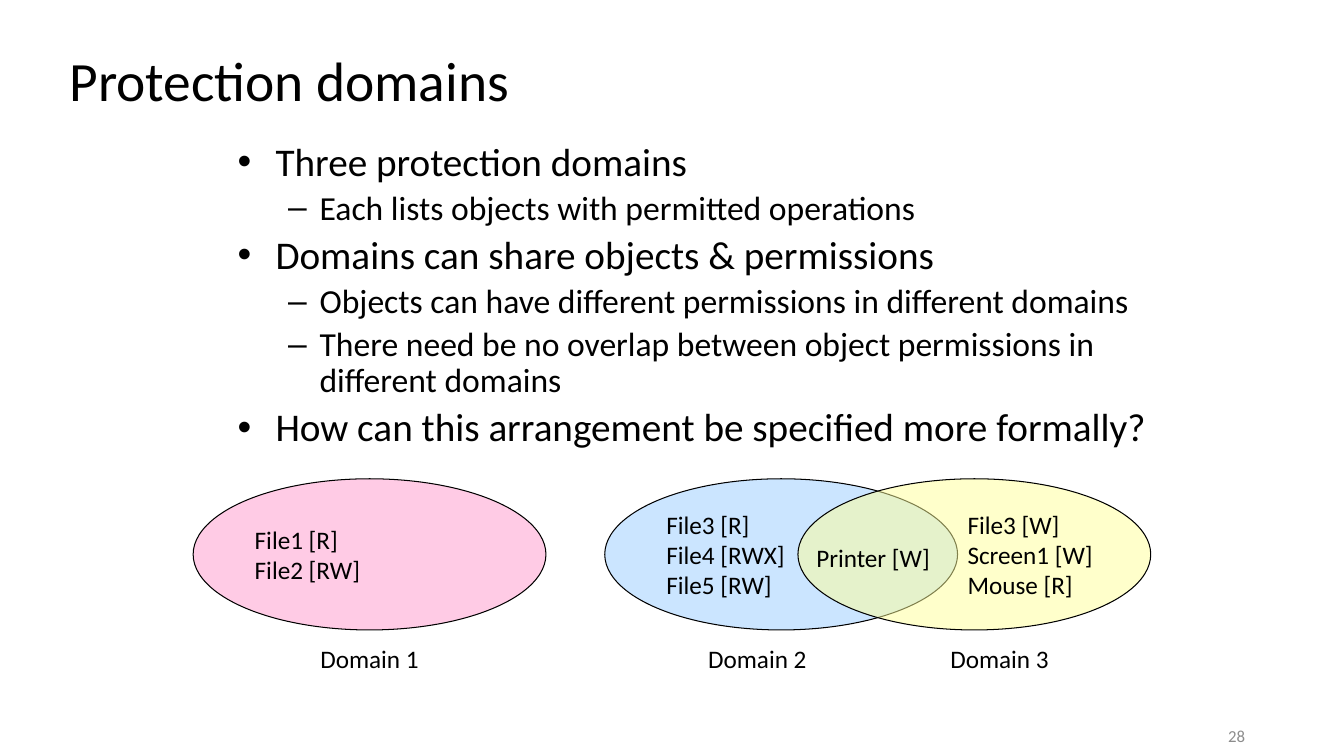
from dataclasses import dataclass

from lxml import etree
from pptx import Presentation
from pptx.dml.color import RGBColor
from pptx.enum.shapes import MSO_SHAPE
from pptx.enum.text import MSO_ANCHOR, PP_ALIGN
from pptx.oxml.ns import qn
from pptx.util import Pt

ELLIPSE = MSO_SHAPE.OVAL
TOP, MIDDLE = MSO_ANCHOR.TOP, MSO_ANCHOR.MIDDLE
LEFT, CENTER, RIGHT = PP_ALIGN.LEFT, PP_ALIGN.CENTER, PP_ALIGN.RIGHT


@dataclass(frozen=True)
class Theme:
    font: str = "Calibri"
    ink: str = "000000"
    muted: str = "8C8C8C"
    pink: str = "FF99CC"
    blue: str = "99CCFF"
    yellow: str = "FFFF99"
    title: float = 39.6
    levels: tuple = (28, 24)
    diagram: float = 18
    number: float = 12


THEME = Theme()

# Bullet, left margin and hanging indent for each level
BULLETS = (("•", 27, -27), ("–", 58.5, -22.5))

POINTS = (
    (0, "Three protection domains"),
    (1, "Each lists objects with permitted operations"),
    (0, "Domains can share objects & permissions"),
    (1, "Objects can have different permissions in different domains"),
    (1, "There need be no overlap between object permissions in different domains"),
    (0, "How can this arrangement be specified more formally?"),
)

# Name, colour, left edge, label shift from the centre, objects inside
DOMAINS = (
    ("Domain 1", THEME.pink, 0, 0, ("File1 [R]", "File2 [RW]")),
    ("Domain 2", THEME.blue, 294, -17, ("File3 [R]", "File4 [RWX]", "File5 [RW]")),
    ("Domain 3", THEME.yellow, 432, 18, ()),
)
DOMAIN_3_OBJECTS = ("File3 [W]", "Screen1 [W]", "Mouse [R]")
SHARED_OBJECT = ("Printer [W]",)


def apply(target, values):
    for name, value in values.items():
        setattr(target, name, value)


def write(frame, lines, size, color=THEME.ink, align=LEFT, anchor=TOP, wrap=True):
    """Fill a text frame with one paragraph per line."""
    apply(frame, {"word_wrap": wrap, "vertical_anchor": anchor})
    for index, line in enumerate(lines):
        paragraph = frame.add_paragraph() if index else frame.paragraphs[0]
        paragraph.alignment = align
        run = paragraph.add_run()
        run.text = line
        apply(run.font, {"name": THEME.font, "size": Pt(size)})
        run.font.color.rgb = RGBColor.from_string(color)


def add_text(slide, box, lines, size, **style):
    frame = slide.shapes.add_textbox(*map(Pt, box)).text_frame
    write(frame, lines, size, **style)
    return frame


def add_points(slide, box):
    frame = add_text(slide, box, [text for _, text in POINTS], THEME.levels[0])
    for index, (paragraph, (level, _)) in enumerate(zip(frame.paragraphs, POINTS)):
        size = THEME.levels[level]
        apply(paragraph, {
            "level": level,
            "line_spacing": 0.9,
            "space_before": Pt(size * 0.2 if index else 0),
        })
        paragraph.runs[0].font.size = Pt(size)
        # Bullet and hanging indent
        bullet, margin, indent = BULLETS[level]
        properties = paragraph._p.get_or_add_pPr()
        properties.set("marL", str(Pt(margin)))
        properties.set("indent", str(Pt(indent)))
        etree.SubElement(properties, qn("a:buFont"), typeface="Arial")
        etree.SubElement(properties, qn("a:buChar"), char=bullet)


def add_domain(slide, box, color, objects):
    ellipse = slide.shapes.add_shape(ELLIPSE, *map(Pt, box))
    ellipse.shadow.inherit = False
    ellipse.fill.solid()
    ellipse.fill.fore_color.rgb = RGBColor.from_string(color)
    ellipse.line.color.rgb = RGBColor.from_string(THEME.ink)
    ellipse.line.width = Pt(0.75)
    # Half-transparent fill shows the overlap
    fill_color = ellipse.fill._xPr.find(qn("a:solidFill"))[0]
    etree.SubElement(fill_color, qn("a:alpha"), val="50000")
    write(ellipse.text_frame, objects, THEME.diagram, anchor=MIDDLE)


def add_diagram(slide, box):
    left, top, _, height = box
    domain_width, domain_height = 252, 108
    label_width, label_height = 86, 29

    # Domains
    for _, color, offset, _, objects in DOMAINS:
        domain_box = (left + offset, top, domain_width, domain_height)
        add_domain(slide, domain_box, color, objects)

    # Objects of the third domain and of the overlap
    add_text(slide, (left + 546, top + 18, 106, 72), DOMAIN_3_OBJECTS,
             THEME.diagram, wrap=False)
    add_text(slide, (left + 438, top + 42, 97, 29), SHARED_OBJECT,
             THEME.diagram, wrap=False)

    # Domain names along the bottom
    for name, _, offset, shift, _ in DOMAINS:
        label_left = left + offset + (domain_width - label_width) / 2 + shift
        label_box = (label_left, top + height - label_height, label_width, label_height)
        add_text(slide, label_box, [name], THEME.diagram, align=CENTER, wrap=False)


def build_slide(presentation):
    slide = presentation.slides.add_slide(presentation.slide_layouts[6])
    add_text(slide, (42.5, 32.4, 816, 48), ["Protection domains"],
             THEME.title, anchor=MIDDLE)
    add_points(slide, (162.7, 98, 677.5, 188.6))
    add_diagram(slide, (138, 342, 684, 143))
    add_text(slide, (856, 516, 40.5, 19.5), ["28"], THEME.number,
             color=THEME.muted, align=RIGHT, anchor=MIDDLE)


def main():
    presentation = Presentation()
    apply(presentation, {"slide_width": Pt(960), "slide_height": Pt(540)})
    build_slide(presentation)
    presentation.save("out.pptx")


if __name__ == "__main__":
    main()
